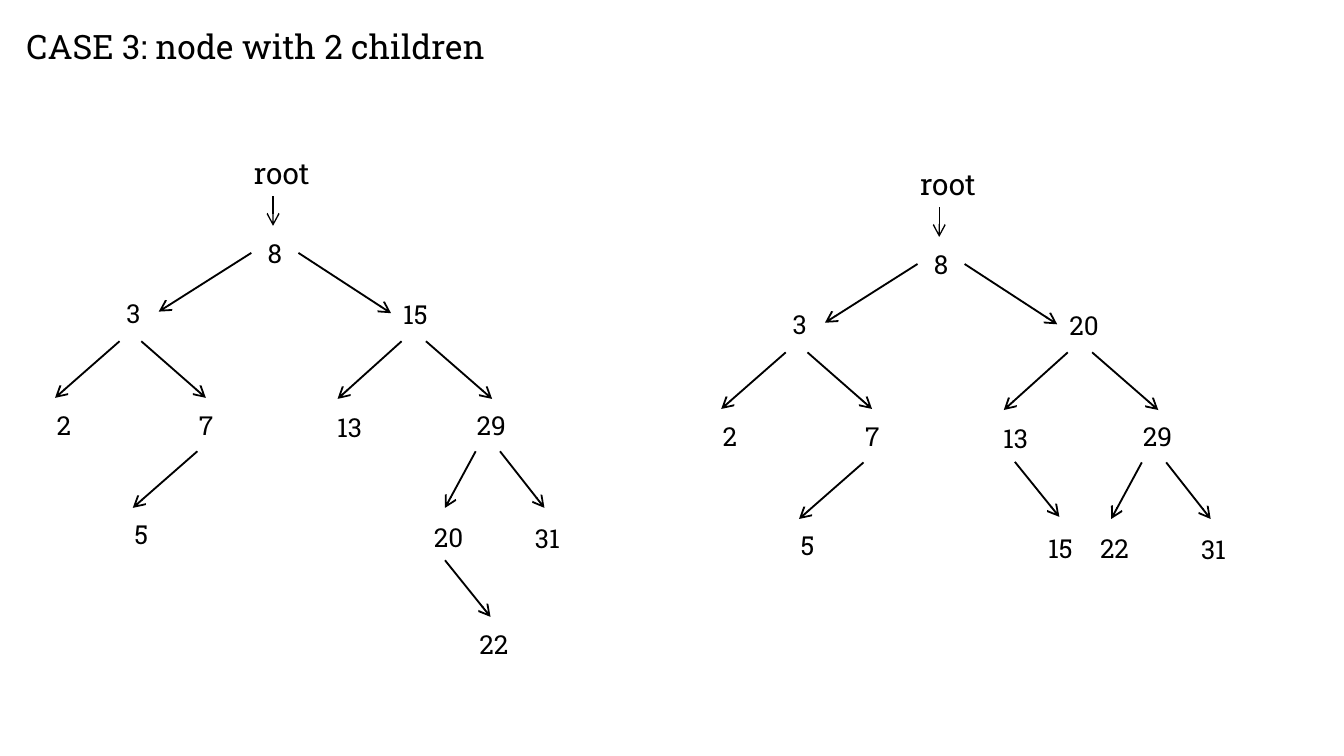
"""Binary search tree before and after removing a node with two children."""
from lxml import etree
from pptx import Presentation
from pptx.dml.color import RGBColor
from pptx.enum import shapes, text
from pptx.oxml import ns
from pptx.util import Cm, Pt

BLACK = RGBColor(0, 0, 0)
FONT = "Roboto Slab"
TITLE = "CASE 3: node with 2 children"
ONE, TWO, WIDE, SLIM = 0.43, 1.12, 1.25, 0.91

NODES = [
    ("8", 4.88, 4.37, ONE),
    ("3", 2.21, 5.49, ONE),
    ("2", 0.89, 7.62, ONE),
    ("7", 3.58, 7.62, ONE),
    ("5", 2.36, 9.68, ONE),
    ("13", 6.12, 7.65, TWO),
    ("29", 8.76, 7.62, WIDE),
    ("31", 9.86, 9.75, WIDE),
]
EDGES = [
    (4.75, 4.78, 3.0, 5.89),
    (5.64, 4.78, 7.39, 5.92),
    (2.26, 6.45, 1.04, 7.52),
    (2.67, 6.45, 3.89, 7.52),
    (7.59, 6.45, 6.38, 7.54),
    (8.05, 6.45, 9.3, 7.54),
    (3.73, 8.53, 2.51, 9.6),
    (8.99, 8.53, 8.41, 9.6),
    (9.45, 8.53, 10.29, 9.6),
]
BEFORE = {
    "pos": (0, 0),
    "top": "15",
    "nodes": [("20", 7.95, 9.73, TWO), ("22", 8.81, 11.76, TWO)],
    "edge": (8.41, 10.59, 9.27, 11.66),
}
AFTER = {
    "pos": (12.59, 0.21),
    "top": "20",
    "nodes": [("22", 7.95, 9.73, TWO), ("15", 6.97, 9.72, WIDE)],
    "edge": (6.59, 8.52, 7.43, 9.56),
}


def label(canvas, words, x, y, w, h=1.12, size=14, pad=0.25):
    box = canvas.add_textbox(Cm(x), Cm(y), Cm(w), Cm(h))
    frame = box.text_frame
    frame.word_wrap = True
    frame.auto_size = text.MSO_AUTO_SIZE.NONE
    frame.margin_left = frame.margin_right = Cm(pad)
    para = frame.paragraphs[0]
    para.text = words
    para.font.name = FONT
    para.font.size = Pt(size)
    para.font.color.rgb = BLACK


def arrow(canvas, ends, dx, dy, width=1):
    x1, y1, x2, y2 = ends
    line = canvas.add_connector(
        shapes.MSO_CONNECTOR.STRAIGHT,
        Cm(x1 + dx), Cm(y1 + dy), Cm(x2 + dx), Cm(y2 + dy))
    line.line.color.rgb = BLACK
    line.line.width = Pt(width)
    etree.SubElement(line.line._get_or_add_ln(), ns.qn("a:tailEnd"), type="arrow")
    etree.SubElement(line._element.spPr, ns.qn("a:effectLst"))


def draw(canvas, tree):
    dx, dy = tree["pos"]
    label(canvas, "root", 4.55 + dx, 2.79 + dy, 1.75, size=16)
    arrow(canvas, (5.16, 3.71, 5.16, 4.27), dx, dy, 0.75)
    label(canvas, tree["top"], 7.62 + dx, 5.51 + dy, SLIM, h=1.04, pad=0)
    for words, x, y, w in NODES + tree["nodes"]:
        label(canvas, words, x + dx, y + dy, w)
    for ends in EDGES + [tree["edge"]]:
        arrow(canvas, ends, dx, dy)


def main():
    deck = Presentation()
    deck.slide_width, deck.slide_height = Cm(25.4), Cm(14.29)
    slide = deck.slides.add_slide(deck.slide_layouts[6])
    label(slide.shapes, TITLE, 0.25, 0.36, 10.29, h=1.45, size=18)
    draw(slide.shapes, BEFORE)
    draw(slide.shapes.add_group_shape().shapes, AFTER)
    deck.save("out.pptx")


if __name__ == "__main__":
    main()
